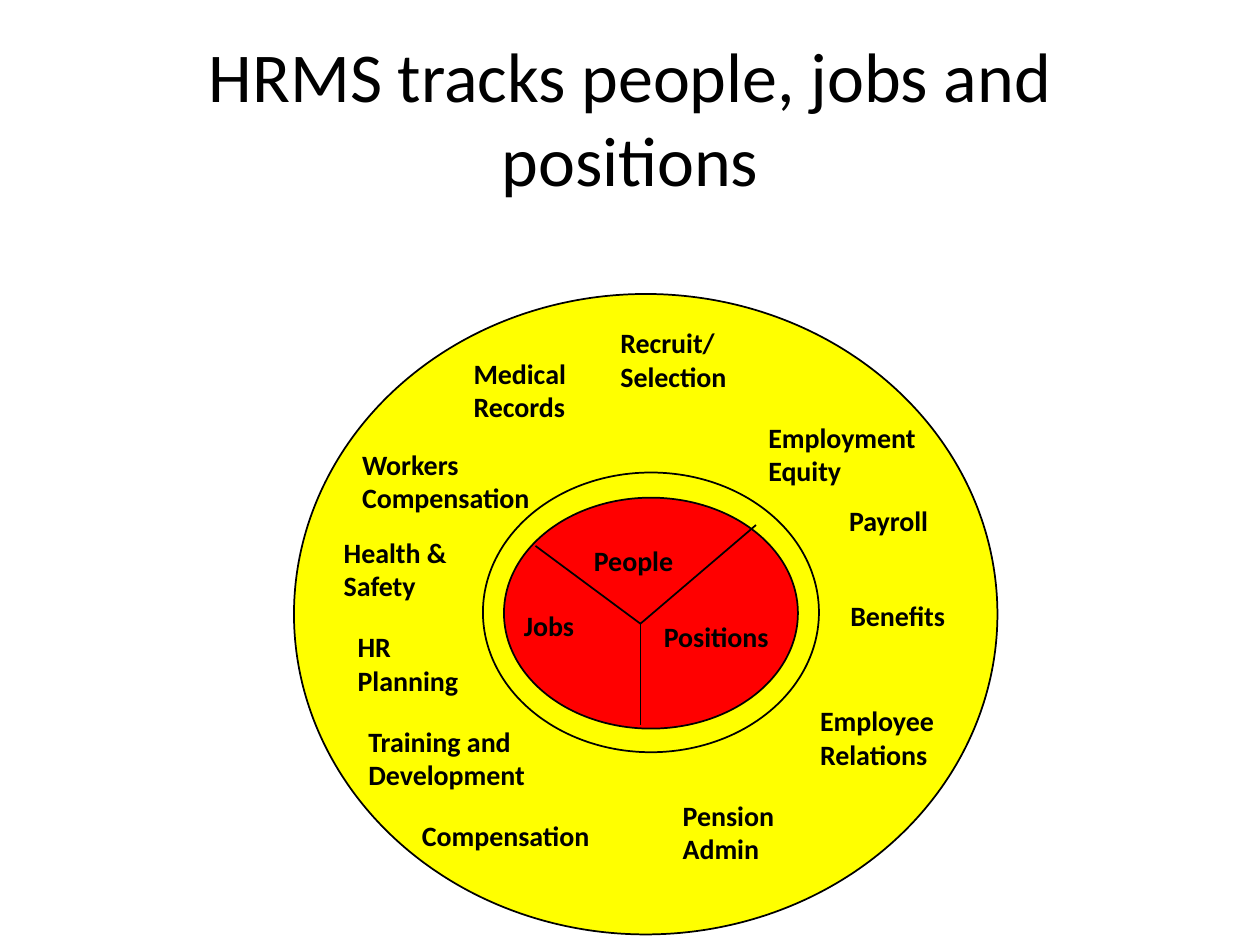
from pptx import Presentation
from pptx.dml.color import RGBColor
from pptx.enum.shapes import MSO_CONNECTOR, MSO_SHAPE
from pptx.enum.text import MSO_ANCHOR, MSO_AUTO_SIZE, PP_ALIGN
from pptx.oxml.ns import qn
from pptx.util import Inches, Pt
from lxml import etree

OVAL = MSO_SHAPE.OVAL
STRAIGHT = MSO_CONNECTOR.STRAIGHT
MIDDLE = MSO_ANCHOR.MIDDLE
GROW = MSO_AUTO_SIZE.SHAPE_TO_FIT_TEXT
LEFT, CENTER = PP_ALIGN.LEFT, PP_ALIGN.CENTER

WIDTH, HEIGHT = Inches(10), Inches(7.5)
COLS, ROWS = 100, 75
BLACK, YELLOW, RED = "000000", "FFFF00", "FF0000"
FONT = "Calibri"

CORE = [
    (46.15, 42.65, 8.6, "People"),
    (51.7, 48.65, 10.6, "Positions"),
    (40.6, 47.8, 6.3, "Jobs"),
]
FUNCTIONS = [
    (27.75, 35, 15.6, "Workers", "Compensation"),
    (27.4, 49.5, 10.3, "HR", "Planning"),
    (36.6, 27.8, 9.8, "Medical", "Records"),
    (48.25, 25.35, 10.7, "Recruit/", "Selection"),
    (60, 32.85, 14, "Employment", "Equity"),
    (66.5, 47, 9.8, "Benefits"),
    (66.4, 39.5, 8.7, "Payroll"),
    (53.2, 62.85, 9.6, "Pension", "Admin"),
    (64.1, 55.35, 11.9, "Employee", "Relations"),
    (28.25, 57, 14.8, "Training and", "Development"),
    (32.5, 64.5, 18.8, "Compensation"),
    (26.3, 42, 10.6, "Health &", "Safety"),
]
HUB = (50.83, 49.5)
SPOKE_ENDS = [(50.83, 57.5), (42.5, 43.33), (60, 41.67)]


def color(value):
    """Turn a hex string into a colour."""
    return RGBColor.from_string(value)


def grid(*values):
    """Turn alternating columns and rows into slide lengths."""
    units = (WIDTH / COLS, HEIGHT / ROWS)
    return [round(v * units[i % 2]) for i, v in enumerate(values)]


def add_ring(s, box, fill=None):
    """Add an outlined ellipse, filled if a colour is given."""
    sp = s.shapes.add_shape(OVAL, *grid(*box))
    sp.shadow.inherit = False
    if fill:
        sp.fill.solid()
        sp.fill.fore_color.rgb = color(fill)
    else:
        sp.fill.background()
    sp.line.color.rgb = color(BLACK)
    sp.line.width = Pt(1)


def add_spoke(s, start, end):
    """Add a plain black line between two grid points."""
    line = s.shapes.add_connector(STRAIGHT, *grid(*start, *end))
    line.line.color.rgb = color(BLACK)
    line.line.width = Pt(1)
    etree.SubElement(line._element.spPr, qn("a:effectLst"))


def add_text(s, box, lines, size, bold=False, align=LEFT):
    """Add a wrapping text box with one paragraph per line and return its frame."""
    tf = s.shapes.add_textbox(*grid(*box)).text_frame
    tf.word_wrap = True
    for i, text in enumerate(lines):
        p = tf.add_paragraph() if i else tf.paragraphs[0]
        p.alignment = align
        r = p.add_run()
        r.text = text
        r.font.name = FONT
        r.font.size = Pt(size)
        r.font.bold = bold
        r.font.color.rgb = color(BLACK)
    return tf


def add_title(s, text):
    """Add the centred slide title."""
    tf = add_text(s, (5, 3, 90, 12.5), [text], 40, align=CENTER)
    tf.vertical_anchor = MIDDLE


def add_label(s, col, row, width, *lines):
    """Add a bold label whose height follows its number of lines."""
    height = 1 + 2.7 * len(lines)
    tf = add_text(s, (col, row, width, height), lines, 16, bold=True)
    tf.auto_size = GROW


def main():
    """Build the slide and save it."""
    prs = Presentation()
    prs.slide_width, prs.slide_height = WIDTH, HEIGHT
    s = prs.slides.add_slide(prs.slide_layouts[6])
    add_ring(s, (23.33, 23.33, 55.83, 50.83), YELLOW)
    add_title(s, "HRMS tracks people, jobs and positions")
    add_ring(s, (40, 39.5, 23.33, 18.33), RED)
    for label in CORE:
        add_label(s, *label)
    for end in SPOKE_ENDS:
        add_spoke(s, HUB, end)
    for label in FUNCTIONS:
        add_label(s, *label)
    add_ring(s, (38.33, 37.5, 26.67, 22.2))
    prs.save("out.pptx")


if __name__ == "__main__":
    main()
